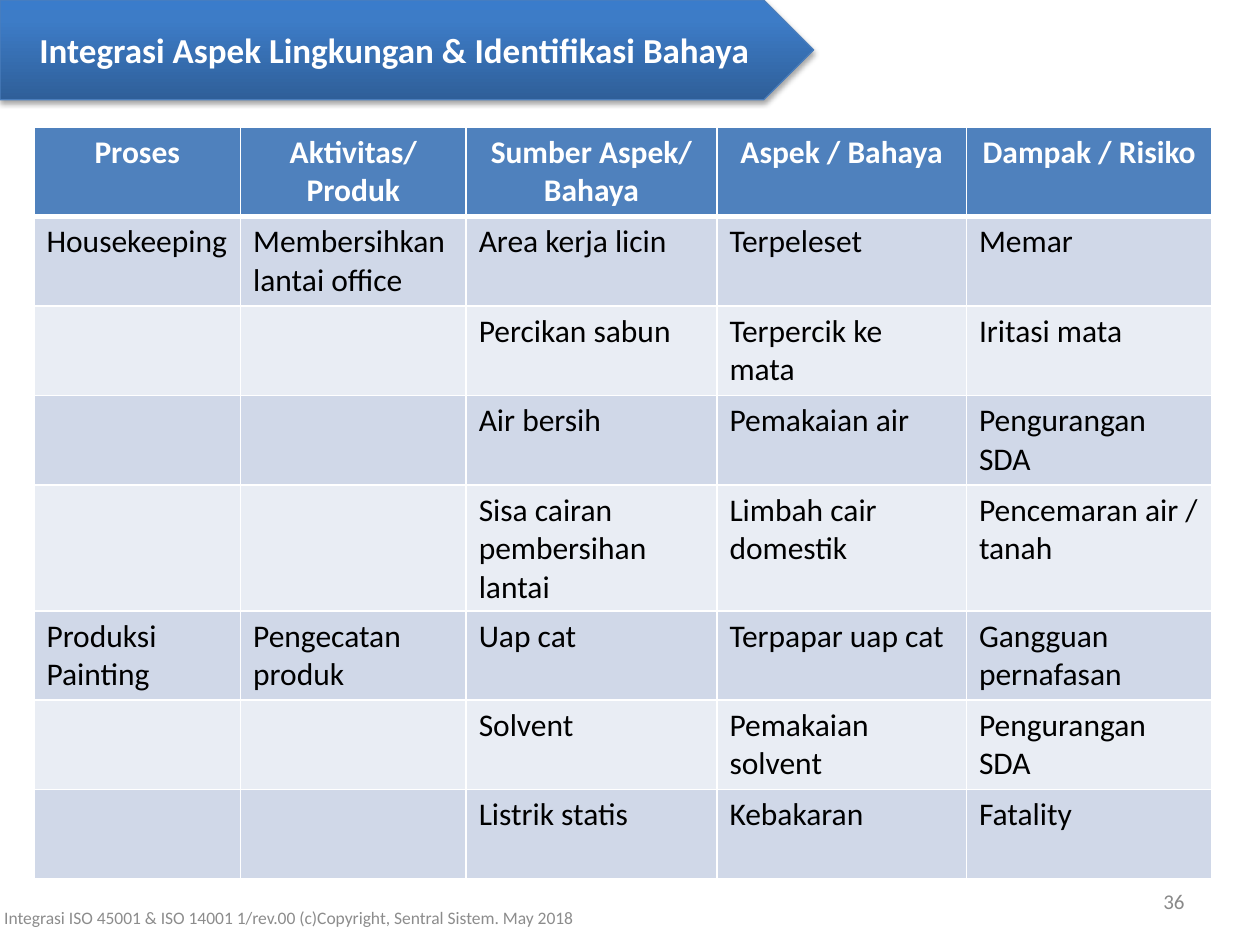
from lxml import etree
from pptx import Presentation
from pptx.dml.color import RGBColor
from pptx.enum.shapes import MSO_SHAPE
from pptx.enum.text import MSO_ANCHOR, PP_ALIGN
from pptx.oxml import parse_xml
from pptx.util import Pt

PENTAGON = MSO_SHAPE.PENTAGON
MIDDLE = MSO_ANCHOR.MIDDLE
LEFT, CENTER, RIGHT = PP_ALIGN.LEFT, PP_ALIGN.CENTER, PP_ALIGN.RIGHT
NS = "http://schemas.openxmlformats.org/drawingml/2006/main"

TITLE = "Integrasi Aspek Lingkungan & Identifikasi Bahaya"
FOOTER = "Integrasi ISO 45001 & ISO 14001 1/rev.00 (c)Copyright, Sentral Sistem. May 2018"
PAGE = "36"
HEADER = ("Proses", "Aktivitas/ Produk", "Sumber Aspek/ Bahaya", "Aspek / Bahaya", "Dampak / Risiko")
HAZARDS = [
    ("Housekeeping", "Membersihkan lantai office", "Area kerja licin", "Terpeleset", "Memar"),
    ("", "", "Percikan sabun", "Terpercik ke mata", "Iritasi mata"),
    ("", "", "Air bersih", "Pemakaian air", "Pengurangan SDA"),
    ("", "", "Sisa cairan pembersihan lantai", "Limbah cair domestik", "Pencemaran air / tanah"),
    ("Produksi Painting", "Pengecatan produk", "Uap cat", "Terpapar uap cat", "Gangguan pernafasan"),
    ("", "", "Solvent", "Pemakaian solvent", "Pengurangan SDA"),
    ("", "", "Listrik statis", "Kebakaran", "Fatality"),
]
COLUMN_WIDTHS = (118.1, 128.9, 143.3, 142.6, 140.4)
ROW_HEIGHT = 51.1

THEME = {
    "font": "Calibri",
    "title_size": 20, "table_size": 18, "page_size": 12, "footer_size": 10,
    "white": "FFFFFF", "body": "000000", "page": "898989", "footer": "8C8C8C",
    "header_fill": "4F81BD", "bands": ("D0D8E8", "E9EDF4"),
    "banner_line": "4B7EBC",
    "banner_stops": ((0, "2F5F99"), (80, "3D7CC7"), (100, "3A7CCB")),
}


def write(frame, text, size, color, align, bold=False):
    frame.text = text
    paragraph = frame.paragraphs[0]
    paragraph.alignment = align
    for font in [paragraph.font] + [run.font for run in paragraph.runs]:
        font.name = THEME["font"]
        font.size = Pt(size)
        font.bold = bold
        font.color.rgb = RGBColor.from_string(color)


def add_label(slide, box, text, size, color, align):
    frame = slide.shapes.add_textbox(*map(Pt, box)).text_frame
    frame.word_wrap = True
    frame.vertical_anchor = MIDDLE
    write(frame, text, size, color, align)


def set_borders(cell, bottom):
    properties = cell._tc.get_or_add_tcPr()
    for index, (side, width) in enumerate((("L", 1), ("R", 1), ("T", 1), ("B", bottom))):
        line = etree.fromstring(
            f'<a:ln{side} xmlns:a="{NS}" w="{Pt(width)}"><a:solidFill>'
            f'<a:srgbClr val="{THEME["white"]}"/></a:solidFill></a:ln{side}>')
        properties.insert(index, line)


def add_hazard_table(slide):
    rows = [HEADER] + HAZARDS
    table = slide.shapes.add_table(
        len(rows), len(HEADER), Pt(19.4), Pt(72.7),
        Pt(sum(COLUMN_WIDTHS)), Pt(ROW_HEIGHT * len(rows))).table
    for column, width in zip(table.columns, COLUMN_WIDTHS):
        column.width = Pt(width)
    for r, row in enumerate(rows):
        table.rows[r].height = Pt(ROW_HEIGHT)
        is_header = r == 0
        fill = THEME["header_fill"] if is_header else THEME["bands"][(r - 1) % 2]
        color = THEME["white" if is_header else "body"]
        for c, text in enumerate(row):
            cell = table.cell(r, c)
            cell.fill.solid()
            cell.fill.fore_color.rgb = RGBColor.from_string(fill)
            set_borders(cell, 3 if is_header else 1)
            write(cell.text_frame, text, THEME["table_size"], color,
                  CENTER if is_header else LEFT, is_header)


def add_banner(slide):
    banner = slide.shapes.add_shape(PENTAGON, 0, 0, Pt(465), Pt(57))
    banner.line.color.rgb = RGBColor.from_string(THEME["banner_line"])
    banner.line.width = Pt(0.75)
    stops = "".join(f'<a:gs pos="{position * 1000}"><a:srgbClr val="{color}"/></a:gs>'
                    for position, color in THEME["banner_stops"])
    outline = banner.line._ln
    outline.addprevious(parse_xml(
        f'<a:gradFill xmlns:a="{NS}"><a:gsLst>{stops}</a:gsLst>'
        '<a:lin ang="16200000" scaled="0"/></a:gradFill>'))
    outline.addnext(parse_xml(
        f'<a:effectLst xmlns:a="{NS}"><a:outerShdw blurRad="{Pt(3.1)}" dist="{Pt(1.8)}" '
        'dir="5400000" rotWithShape="0"><a:srgbClr val="000000"><a:alpha val="35000"/>'
        '</a:srgbClr></a:outerShdw></a:effectLst>'))
    banner.text_frame.vertical_anchor = MIDDLE
    write(banner.text_frame, TITLE, THEME["title_size"], THEME["white"], CENTER, True)


def main():
    deck = Presentation()
    deck.slide_width, deck.slide_height = Pt(720), Pt(540)
    slide = deck.slides.add_slide(deck.slide_layouts[6])
    add_label(slide, (516, 500.6, 168, 28.8), PAGE, THEME["page_size"], THEME["page"], RIGHT)
    add_hazard_table(slide)
    add_banner(slide)
    add_label(slide, (-13.7, 509.8, 357.1, 28.8), FOOTER,
              THEME["footer_size"], THEME["footer"], CENTER)
    deck.save("out.pptx")


if __name__ == "__main__":
    main()
